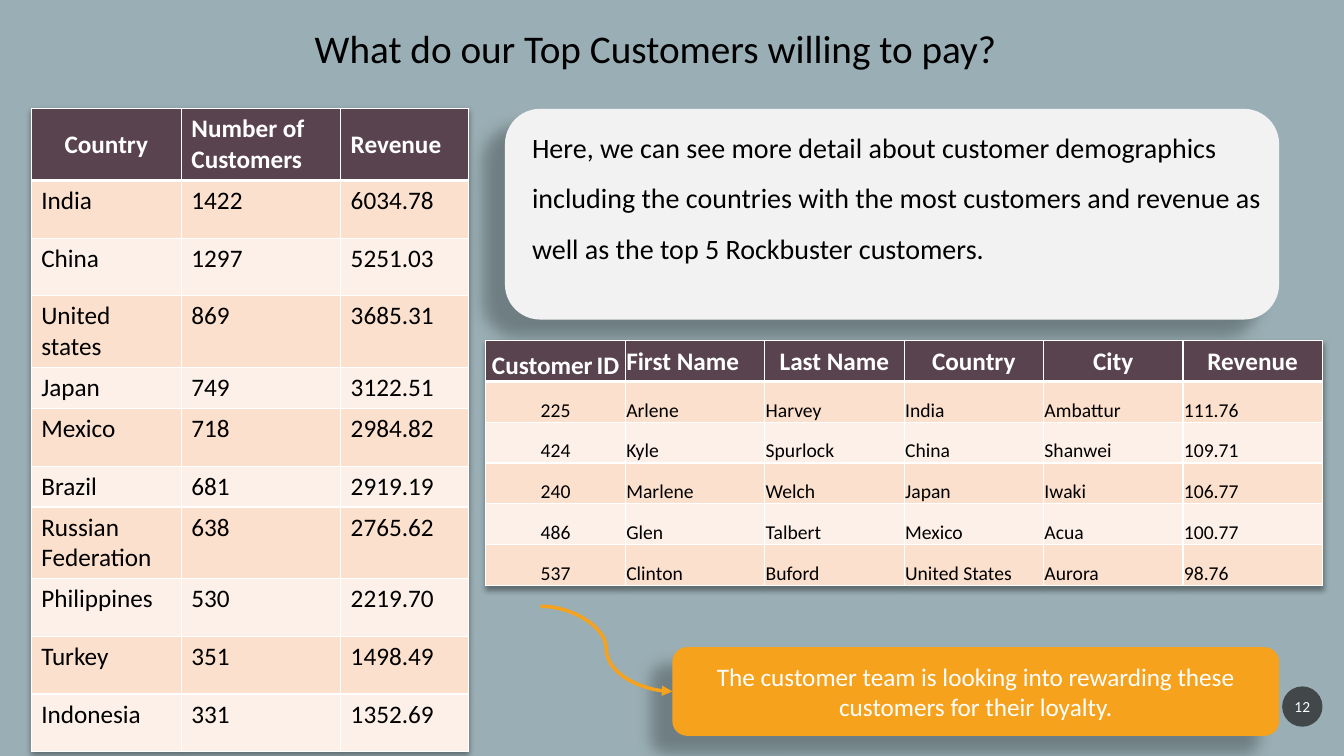
from dataclasses import dataclass

from lxml import etree
from pptx import Presentation
from pptx.dml.color import RGBColor
from pptx.enum.shapes import MSO_CONNECTOR, MSO_SHAPE
from pptx.enum.text import MSO_ANCHOR, PP_ALIGN
from pptx.oxml.ns import qn
from pptx.util import Inches, Pt

CURVE = MSO_CONNECTOR.CURVE
ROUNDED, OVAL = MSO_SHAPE.ROUNDED_RECTANGLE, MSO_SHAPE.OVAL
TOP, MIDDLE, BOTTOM = MSO_ANCHOR.TOP, MSO_ANCHOR.MIDDLE, MSO_ANCHOR.BOTTOM
LEFT, CENTER = PP_ALIGN.LEFT, PP_ALIGN.CENTER
WIDTH, HEIGHT = Inches(13.33), Inches(7.5)
COLUMNS, ROWS = 40, 30


@dataclass(frozen=True)
class Theme:
    font: str = "Calibri"
    background: str = "9AAFB5"
    panel: str = "F2F2F2"
    accent: str = "F6A21D"
    header: str = "59434E"
    bands: tuple = ("FBE0CD", "FDF0E8")
    dark: str = "000000"
    light: str = "FFFFFF"
    badge: str = "1D1D1D"
    title: int = 28
    lead: int = 20
    body: int = 18
    small: int = 14
    gap: int = 12
    number: int = 11


def col(n):
    return round(WIDTH * n / COLUMNS)


def row(n):
    return round(HEIGHT * n / ROWS)


def grid(x, y, w, h):
    return col(x), row(y), col(w), row(h)


def add_xml(parent, tag, **attrs):
    return etree.SubElement(parent, qn(tag), {k: str(v) for k, v in attrs.items()})


def add_shadow(effects, color, blur, distance, angle, alpha):
    shadow = add_xml(effects, "a:outerShdw", blurRad=Pt(blur), dist=Pt(distance),
                     dir=angle * 60000, algn="t", rotWithShape=0)
    add_xml(add_xml(shadow, "a:srgbClr", val=color), "a:alpha", val=alpha * 1000)


class Deck:
    """Draws styled elements on the current slide."""

    def __init__(self, theme):
        self.theme = theme
        self.prs = Presentation()
        self.prs.slide_width, self.prs.slide_height = WIDTH, HEIGHT
        self.s = self.prs.slides.add_slide(self.prs.slide_layouts[5])
        self.paint(self.s.background, theme.background)

    def paint(self, target, color):
        target.fill.solid()
        target.fill.fore_color.rgb = RGBColor.from_string(color)

    def style(self, r, size, color, bold=False):
        r.font.name, r.font.size, r.font.bold = self.theme.font, Pt(size), bold
        r.font.color.rgb = RGBColor.from_string(color)

    def set_text(self, tf, text, size, color, align=LEFT, anchor=TOP, bold=False, spacing=1):
        tf.word_wrap = True
        tf.vertical_anchor = anchor
        p = tf.paragraphs[0]
        p.text, p.alignment, p.line_spacing = text, align, spacing
        self.style(p.runs[0], size, color, bold)

    def title(self, text, box):
        sp = self.s.shapes.title
        sp.left, sp.top, sp.width, sp.height = box
        self.set_text(sp.text_frame, text, self.theme.title, self.theme.dark, CENTER)

    def text(self, text, box, spacing):
        sp = self.s.shapes.add_textbox(*box)
        self.set_text(sp.text_frame, text, self.theme.lead, self.theme.dark, spacing=spacing)

    def shape(self, kind, box, fill, text="", size=0, shadow=False):
        sp = self.s.shapes.add_shape(kind, *box)
        sp.shadow.inherit = False
        self.paint(sp, fill)
        sp.line.fill.background()
        if shadow:
            effects = sp.element.spPr.find(qn("a:effectLst"))
            add_shadow(effects, self.theme.dark, 11.8, 19.7, 141, 28)
        if text:
            self.set_text(sp.text_frame, text, size, self.theme.light, CENTER, MIDDLE)
        return sp

    def badge(self, text, box):
        sp = self.shape(OVAL, box, self.theme.badge, text, self.theme.number)
        sp.text_frame.margin_left = sp.text_frame.margin_right = Inches(0.02)
        color = sp.element.spPr.find(qn("a:solidFill")).find(qn("a:srgbClr"))
        add_xml(color, "a:alpha", val=70000)

    def arrow(self, x1, y1, x2, y2):
        c = self.s.shapes.add_connector(CURVE, col(x1), row(y1), col(x2), row(y2))
        c.line.color.rgb = RGBColor.from_string(self.theme.accent)
        c.line.width = Pt(2.5)
        add_xml(c.element.spPr.find(qn("a:ln")), "a:tailEnd", type="triangle")
        add_xml(c.element.spPr, "a:effectLst")

    def borders(self, cell, i):
        props = cell._tc.get_or_add_tcPr()
        for side in "LRTB":
            thick = (side, i) in (("B", 0), ("T", 1))
            line = add_xml(props, f"a:ln{side}", w=Pt(3 if thick else 1))
            fill = add_xml(line, "a:solidFill")
            add_xml(fill, "a:srgbClr", val=self.theme.light)

    def table(self, x, y, widths, heights, data, size, tight=False):
        frame = self.s.shapes.add_table(len(data), len(widths),
                                        *grid(x, y, sum(widths), sum(heights)))
        table = frame.table
        effects = etree.Element(qn("a:effectLst"))
        table._tbl.tblPr.insert(0, effects)
        add_shadow(effects, self.theme.dark, 4, 2, 90, 38)
        for column, width in zip(table.columns, widths):
            column.width = col(width)
        for i, values in enumerate(data):
            table.rows[i].height = row(heights[i])
            for j, value in enumerate(values):
                cell = table.cell(i, j)
                self.borders(cell, i)
                self.paint(cell, self.theme.bands[(i - 1) % 2] if i else self.theme.header)
                if tight:
                    cell.margin_left = cell.margin_right = cell.margin_top = Inches(0.01)
                    cell.margin_bottom = 0
                centered = j == 0 and (tight or i == 0) or tight and i == 0 and j > 1
                self.set_text(cell.text_frame, value, size if i else self.theme.body,
                              self.theme.dark if i else self.theme.light,
                              CENTER if centered else LEFT, bold=i == 0)
                body_anchor = BOTTOM if tight else TOP
                cell.vertical_anchor = body_anchor if i else MIDDLE
        return table


COUNTRIES = [
    ("Country", "Number of Customers", "Revenue"),
    ("India", "1422", "6034.78"),
    ("China", "1297", "5251.03"),
    ("United states", "869", "3685.31"),
    ("Japan", "749", "3122.51"),
    ("Mexico", "718", "2984.82"),
    ("Brazil", "681", "2919.19"),
    ("Russian Federation", "638", "2765.62"),
    ("Philippines", "530", "2219.70"),
    ("Turkey", "351", "1498.49"),
    ("Indonesia", "331", "1352.69"),
]
CUSTOMERS = [
    ("Customer", "First Name", "Last Name", "Country", "City", "Revenue"),
    ("225", "Arlene", "Harvey", "India", "Ambattur", "111.76"),
    ("424", "Kyle", "Spurlock", "China", "Shanwei", "109.71"),
    ("240", "Marlene", "Welch", "Japan", "Iwaki", "106.77"),
    ("486", "Glen", "Talbert", "Mexico", "Acua", "100.77"),
    ("537", "Clinton", "Buford", "United States", "Aurora", "98.76"),
]


def main():
    theme = Theme()
    deck = Deck(theme)
    deck.title("What do our Top Customers willing to pay?", grid(0.93, 0.76, 37.15, 2.28))
    deck.shape(ROUNDED, grid(15.03, 4.32, 23.04, 8.36), theme.panel, shadow=True)
    tall, short, double = 2.29, 1.44, 2.52
    heights = [double, tall, tall, double, short, tall, short, double, tall, tall, tall]
    deck.table(0.93, 4.32, [4.47, 4.74, 3.81], heights, COUNTRIES, theme.body)
    customers = deck.table(14.46, 13.52, [4.15] * 6, [1.62] * 6, CUSTOMERS,
                           theme.small, tight=True)
    id_cell = customers.cell(0, 0)
    id_cell.vertical_anchor = BOTTOM
    for text, size in ((" ", theme.gap), ("ID", theme.body)):
        r = id_cell.text_frame.paragraphs[0].add_run()
        r.text = text
        deck.style(r, size, theme.light, bold=True)
    deck.text("Here, we can see more detail about customer demographics including the "
              "countries with the most customers and revenue as well as the top 5 "
              "Rockbuster customers.", grid(15.54, 4.32, 23.04, 10.28), 1.5)
    deck.shape(ROUNDED, grid(20.01, 25.68, 18.06, 3.52), theme.accent,
               "The customer team is looking into rewarding these customers for their "
               "loyalty.", theme.body, shadow=True)
    deck.arrow(16.08, 24.06, 20.01, 27.44)
    deck.badge("12", grid(38.16, 27.24, 1.2, 1.6))
    deck.prs.save("out.pptx")


if __name__ == "__main__":
    main()
